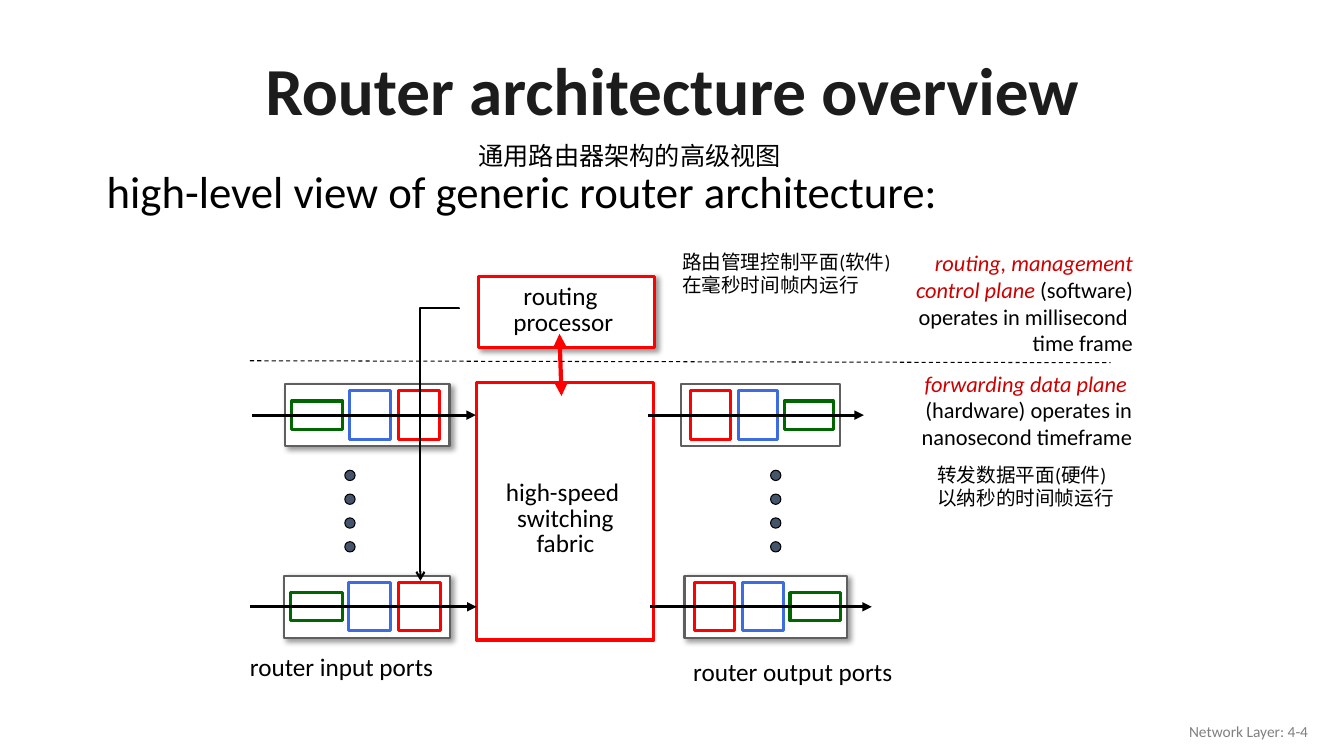
from lxml.etree import SubElement
from pptx import Presentation
from pptx.dml.color import RGBColor
from pptx.enum.dml import MSO_LINE
from pptx.enum.shapes import MSO_CONNECTOR as LINK, MSO_SHAPE as SHAPE
from pptx.enum.text import MSO_ANCHOR as ANCHOR, PP_ALIGN as ALIGN
from pptx.oxml.ns import qn
from pptx.util import Cm, Pt

BLACK = RGBColor(0x00, 0x00, 0x00)
WHITE = RGBColor(0xFF, 0xFF, 0xFF)
INK = RGBColor(0x1C, 0x1C, 0x1C)
GREY = RGBColor(0x80, 0x80, 0x80)
FRAME_GREY = RGBColor(0x5F, 0x5F, 0x5F)
RED = RGBColor(0xFF, 0x00, 0x00)
CRIMSON = RGBColor(0xCC, 0x00, 0x00)
GREEN = RGBColor(0x00, 0x66, 0x00)
BLUE = RGBColor(0x3C, 0x6C, 0xDF)
SLATE = RGBColor(0x44, 0x54, 0x6A)

TITLE = [[("Router architecture overview", INK)]]
HEADING = [[("high-level view of generic router architecture:", BLACK)]]
HEADING_ZH = [[("通用路由器架构的高级视图", BLACK)]]
FABRIC = [[("high-speed ", BLACK)], [("switching", BLACK)], [("fabric", BLACK)]]
PROCESSOR = [[("routing ", BLACK)], [("processor", BLACK)]]
INPUTS = [[("router input ports", BLACK)]]
OUTPUTS = [[("router output ports", BLACK)]]
DATA_PLANE = [[("forwarding data plane  ", CRIMSON),
               ("(hardware) operates in nanosecond timeframe", BLACK)]]
CONTROL_PLANE = [[("routing, management", CRIMSON)],
                 [("control plane ", CRIMSON), ("(software)", BLACK)],
                 [("operates in millisecond ", BLACK)],
                 [("time frame", BLACK)]]
CONTROL_ZH = [[("路由管理控制平面(软件)", BLACK)], [("在毫秒时间帧内运行", BLACK)]]
DATA_ZH = [[("转发数据平面(硬件)以纳秒的时间帧运行", BLACK)]]
FOOTER = [[("Network Layer: 4-4", GREY)]]

# frame left, frame width, wire start, wire end, centre height, mirrored, shadow
PORTS = [
    (7.19, 4.14, 6.35, 11.99, 10.46, False, True),
    (7.16, 4.19, 6.3, 12.01, 15.29, False, True),
    (17.17, 3.99, 16.33, 21.77, 10.46, True, False),
    (17.25, 4.09, 16.38, 21.97, 15.29, True, True),
]
STAGES = [(0.04, 0.31, 0.71, GREEN), (0.39, 0.25, 1.22, BLUE), (0.69, 0.25, 1.22, RED)]
FRAME_HEIGHT = 1.57
DOT_COLUMNS = [8.69, 19.42]
DOT_TOP, DOT_STEP, DOT_SIZE, DOT_COUNT = 11.85, 0.6, 0.26, 4

deck = Presentation()
deck.slide_width, deck.slide_height = Cm(33.87), Cm(19.05)
slide = deck.slides.add_slide(deck.slide_layouts[6])


def add_box(box, fill, outline, weight, kind=SHAPE.RECTANGLE, shadow=False):
    shape = slide.shapes.add_shape(kind, *map(Cm, box))
    shape.shadow.inherit = False
    shape.fill.solid()
    shape.fill.fore_color.rgb = fill
    shape.line.color.rgb = outline
    shape.line.width = Pt(weight)
    if shadow:
        effects = shape._element.spPr.find(qn("a:effectLst"))
        outer = SubElement(effects, qn("a:outerShdw"), blurRad=str(Pt(4)), dist=str(Pt(3)),
                           dir="2700000", algn="tl", rotWithShape="0")
        tint = SubElement(outer, qn("a:srgbClr"), val=str(BLACK))
        SubElement(tint, qn("a:alpha"), val="40000")


def add_line(start, end, color, weight, head=None, tail=None, kind=LINK.STRAIGHT):
    line = slide.shapes.add_connector(kind, *map(Cm, start + end))
    line.line.color.rgb = color
    line.line.width = Pt(weight)
    outline = line.line._get_or_add_ln()
    for tag, arrow in (("a:headEnd", head), ("a:tailEnd", tail)):
        if arrow:
            SubElement(outline, qn(tag), type=arrow)
    SubElement(line._element.spPr, qn("a:effectLst"))
    return line


def add_text(box, paragraphs, size, align=ALIGN.LEFT, spacing=None, wrap=True,
             anchor=ANCHOR.TOP, bold=False):
    frame = slide.shapes.add_textbox(*map(Cm, box)).text_frame
    frame.word_wrap = wrap
    frame.vertical_anchor = anchor
    for index, runs in enumerate(paragraphs):
        paragraph = frame.add_paragraph() if index else frame.paragraphs[0]
        paragraph.alignment = align
        if spacing:
            paragraph.line_spacing = spacing
        for words, color in runs:
            run = paragraph.add_run()
            run.text = words
            run.font.name = "Calibri"
            run.font.size = Pt(size)
            run.font.color.rgb = color
            run.font.bold = bold
            run.font.italic = color == CRIMSON


def add_port(left, width, wire_start, wire_end, middle, mirrored, shadow):
    add_box((left, middle - FRAME_HEIGHT / 2, width, FRAME_HEIGHT),
            WHITE, FRAME_GREY, 1.5, shadow=shadow)
    for offset, share, height, color in STAGES:
        start = 1 - offset - share if mirrored else offset
        add_box((left + start * width, middle - height / 2, share * width, height),
                WHITE, color, 2.25)
    add_line((wire_start, middle), (wire_end, middle), BLACK, 2.25, tail="triangle")


add_text((2.34, 1.12, 29.21, 2.49), TITLE, 48, ALIGN.CENTER, 0.9,
         anchor=ANCHOR.MIDDLE, bold=True)
add_text((2.44, 4.01, 29.97, 1.63), HEADING, 32)

add_box((12.01, 9.63, 4.47, 6.5), WHITE, RED, 2.25)
add_text((12.47, 11.99, 3.56, 2.21), FABRIC, 18, ALIGN.CENTER, 0.85, wrap=False)
add_box((12.07, 6.96, 4.42, 1.8), WHITE, RED, 2.25, shadow=True)
add_text((12.67, 7.06, 3.05, 1.57), PROCESSOR, 18, ALIGN.CENTER, 0.85, wrap=False)
add_line((14.1, 8.41), (14.15, 9.98), RED, 3, "triangle", "triangle")

for port in PORTS:
    add_port(*port)
for column in DOT_COLUMNS:
    for row in range(DOT_COUNT):
        add_box((column, DOT_TOP + row * DOT_STEP, DOT_SIZE, DOT_SIZE),
                SLATE, BLACK, 0.75, SHAPE.OVAL)
add_text((6.05, 16.28, 5.31, 1.02), INPUTS, 18, wrap=False)
add_text((17.22, 16.41, 5.69, 1.02), OUTPUTS, 18, wrap=False)

plane_border = add_line((6.3, 9.09), (27.99, 9.14), BLACK, 0.75)
plane_border.line.dash_style = MSO_LINE.DASH
add_text((22.71, 9.19, 6.07, 2.31), DATA_PLANE, 16, ALIGN.RIGHT)
add_text((20.8, 6.15, 8, 3), CONTROL_PLANE, 16, ALIGN.RIGHT)

control_path = add_line((7.65, 10.72), (14.51, 11.69), BLACK, 1.5, tail="arrow", kind=LINK.ELBOW)
control_form = control_path._element.spPr
control_form.find(qn("a:xfrm")).set("rot", "5400000")
bends = control_form.find(qn("a:prstGeom")).find(qn("a:avLst"))
SubElement(bends, qn("a:gd"), name="adj1", fmla="val -100")

add_text((25.6, 17.91, 7.62, 1.02), FOOTER, 11, ALIGN.RIGHT, anchor=ANCHOR.MIDDLE)
add_text((11.81, 3.4, 9.65, 1.02), HEADING_ZH, 18)
add_text((16.94, 6.17, 5.79, 1.45), CONTROL_ZH, 14)
add_text((23.37, 11.53, 5, 1.45), DATA_ZH, 14)

deck.save("out.pptx")
